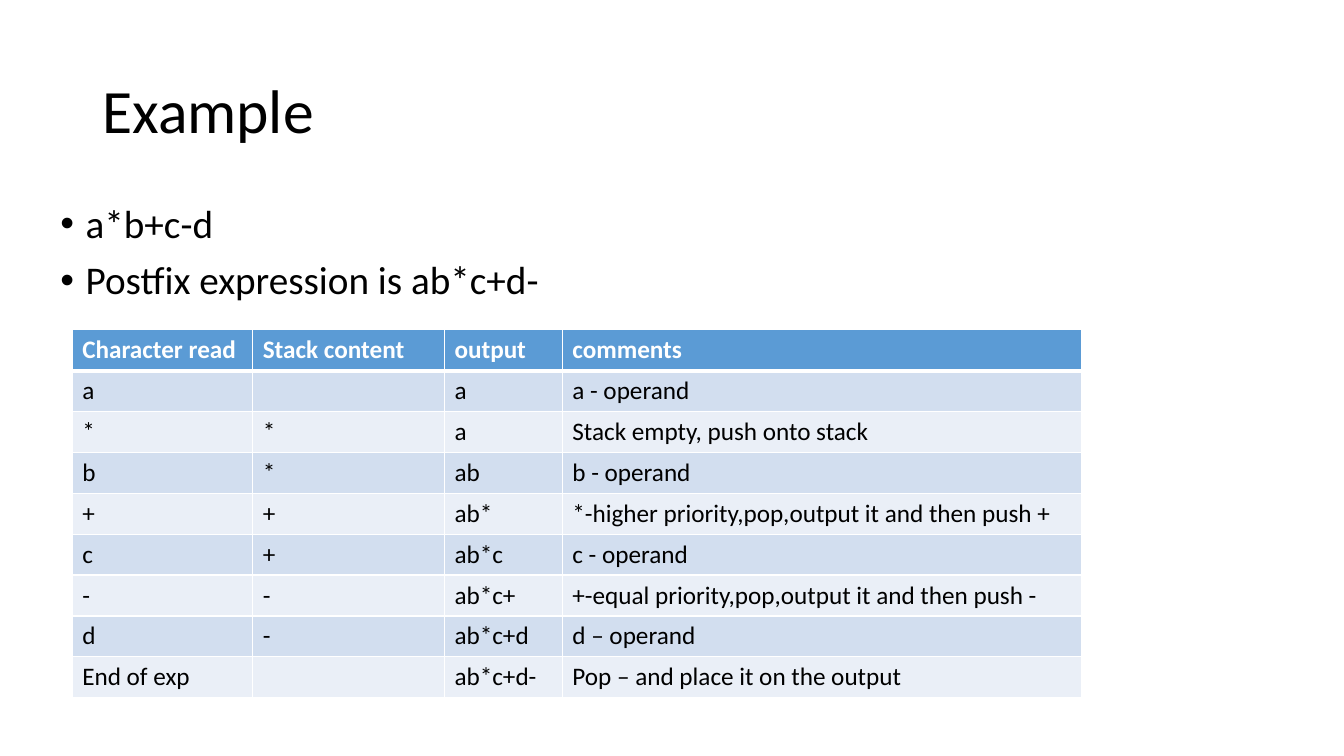
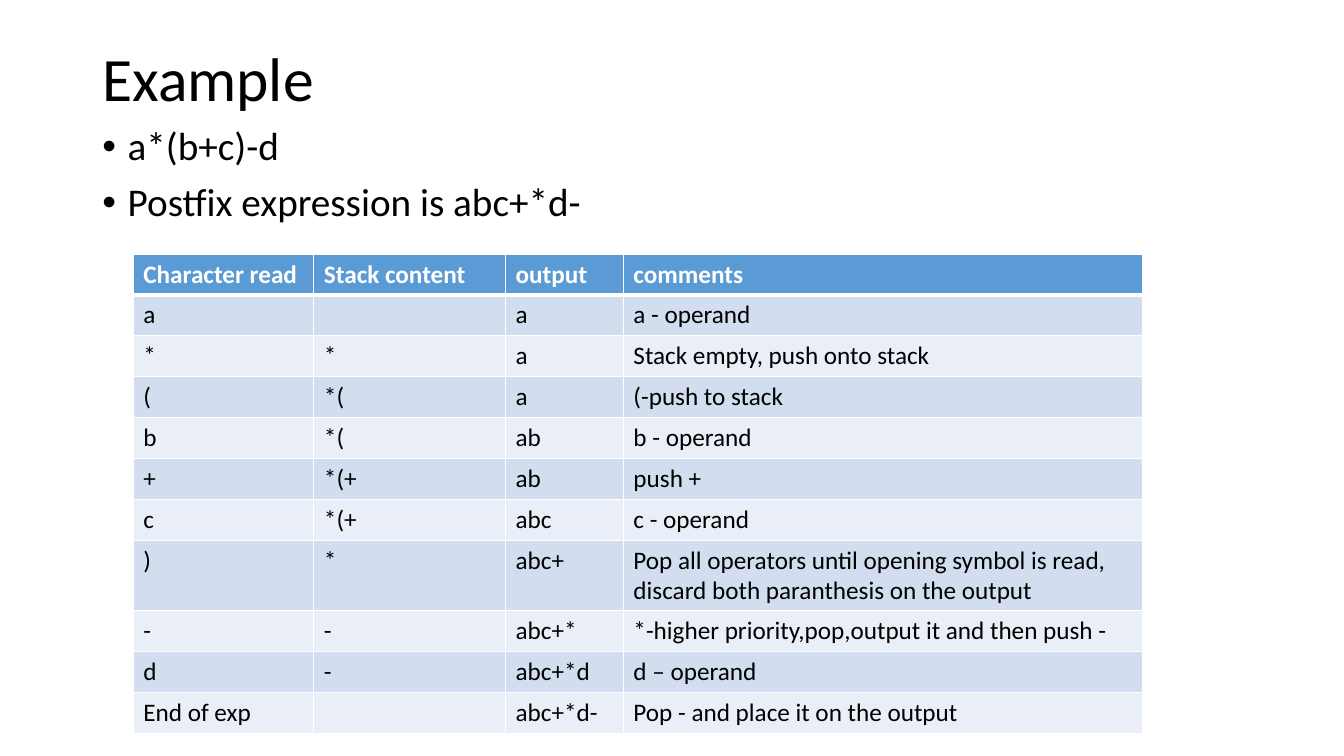
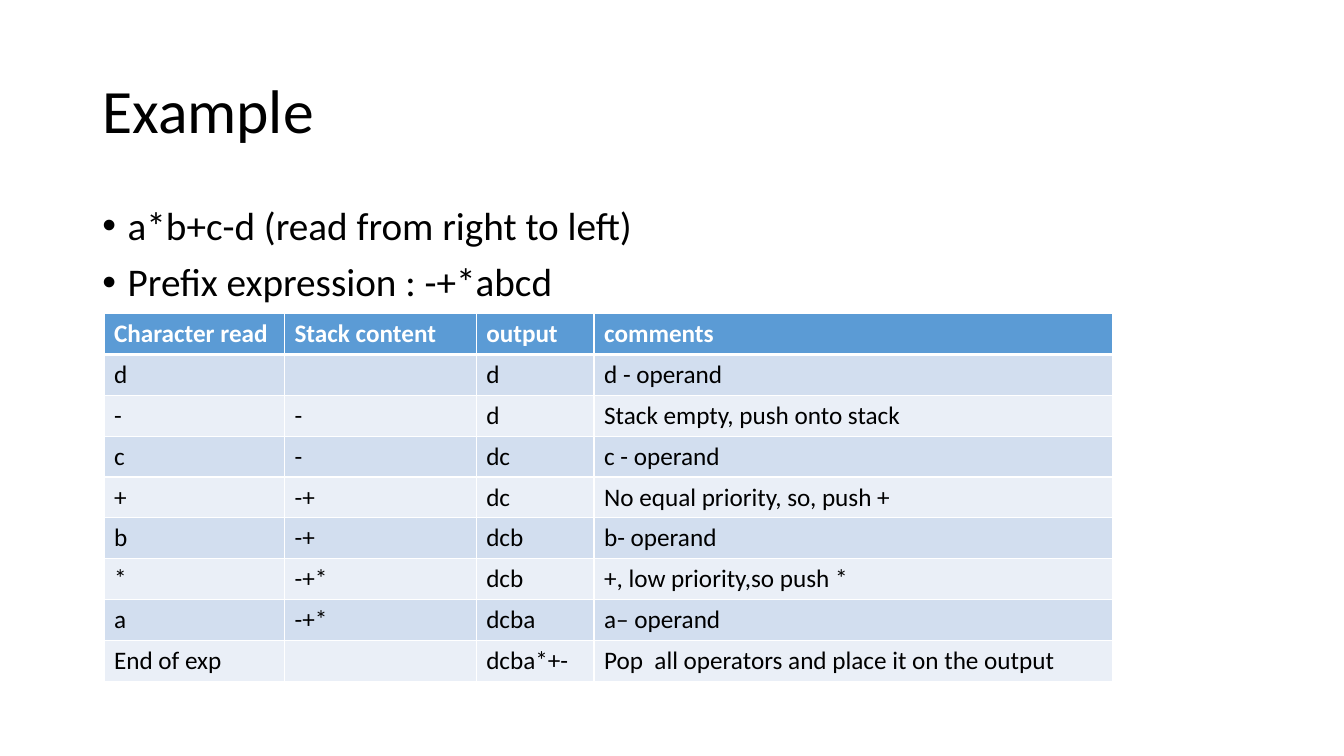
from lxml import etree
from pptx import Presentation, util as u
from pptx.dml.color import RGBColor
from pptx.enum import text
from pptx.oxml import ns

BLACK = RGBColor(0x00, 0x00, 0x00)
WHITE = RGBColor(0xFF, 0xFF, 0xFF)
HEADER_BLUE = RGBColor(0x5B, 0x9B, 0xD5)
BAND_DARK = RGBColor(0xD2, 0xDE, 0xEF)
BAND_LIGHT = RGBColor(0xEA, 0xEF, 0xF7)

# Shared formats
TITLE_FONT = {"name": "Calibri", "size": u.Pt(44)}
BULLET_FONT = {"name": "Calibri", "size": u.Pt(28)}
CELL_FONT = {"name": "Calibri", "size": u.Pt(18), "bold": False}
HEADER_FONT = {**CELL_FONT, "bold": True}

# Shared measures in centimetres
TEXT_LEFT, TEXT_WIDTH, TITLE_TOP = 2.33, 29.21, 1.02
COLUMN_WIDTHS = [4.55, 4.83, 2.97, 13.08]
ROW_HEIGHT = 1.03
HEADINGS = ("Character read", "Stack content", "output", "comments")

EXAMPLES = [
    {
        "title_height": 3.68,
        "body": (1.27, 5.03, 12.09),
        "table": (1.82, 8.31),
        "bullets": ["a*b+c-d", "Postfix expression is ab*c+d-"],
        "steps": [
            ("a", "", "a", "a - operand"),
            ("*", "*", "a", "Stack empty, push onto stack"),
            ("b", "*", "ab", "b - operand"),
            ("+", "+", "ab*", "*-higher priority,pop,output it and then push +"),
            ("c", "+", "ab*c", "c - operand"),
            ("-", "-", "ab*c+", "+-equal priority,pop,output it and then push -"),
            ("d", "-", "ab*c+d", "d – operand"),
            ("End of exp", "", "ab*c+d-", "Pop – and place it on the output"),
        ],
    },
    {
        "title_height": 2.06,
        "body": (TEXT_LEFT, 3.07, 14.07),
        "table": (3.36, 6.4),
        "bullets": ["a*(b+c)-d", "Postfix expression is abc+*d-"],
        "steps": [
            ("a", "", "a", "a - operand"),
            ("*", "*", "a", "Stack empty, push onto stack"),
            ("(", "*(", "a", "(-push to stack"),
            ("b", "*(", "ab", "b - operand"),
            ("+", "*(+", "ab", "push +"),
            ("c", "*(+", "abc", "c - operand"),
            (")", "*", "abc+", "Pop all operators until opening symbol is read, "
             "discard both paranthesis on the output"),
            ("-", "-", "abc+*", "*-higher priority,pop,output it and then push -"),
            ("d", "-", "abc+*d", "d – operand"),
            ("End of exp", "", "abc+*d-", "Pop - and place it on the output"),
        ],
    },
    {
        "title_height": 3.68,
        "body": (TEXT_LEFT, 5.08, 12.09),
        "table": (2.62, 7.9),
        "bullets": ["a*b+c-d (read from right to left)", "Prefix expression : -+*abcd"],
        "steps": [
            ("d", "", "d", "d - operand"),
            ("-", "-", "d", "Stack empty, push onto stack"),
            ("c", "-", "dc", "c - operand"),
            ("+", "-+", "dc", "No equal priority, so, push +"),
            ("b", "-+", "dcb", "b- operand"),
            ("*", "-+*", "dcb", "+, low priority,so push *"),
            ("a", "-+*", "dcba", "a– operand"),
            ("End of exp", "", "dcba*+-", "Pop  all operators and place it on the output"),
        ],
    },
]


def write(paragraph, words, font, color):
    paragraph.text = words
    for key, value in font.items():
        setattr(paragraph.font, key, value)
    paragraph.font.color.rgb = color


def add_borders(cell, widths):
    """Give a cell white edges; widths maps each edge to points."""
    properties = cell._tc.get_or_add_tcPr()
    for edge, width in widths.items():
        line = etree.SubElement(properties, ns.qn(f"a:ln{edge}"), w=str(u.Pt(width)))
        fill = etree.SubElement(line, ns.qn("a:solidFill"))
        etree.SubElement(fill, ns.qn("a:srgbClr"), val=str(WHITE))


deck = Presentation()
deck.slide_width, deck.slide_height = u.Cm(33.87), u.Cm(19.05)

for example in EXAMPLES:
    slide = deck.slides.add_slide(deck.slide_layouts[6])

    # Title
    title = slide.shapes.add_textbox(u.Cm(TEXT_LEFT), u.Cm(TITLE_TOP), u.Cm(TEXT_WIDTH),
                                     u.Cm(example["title_height"])).text_frame
    title.word_wrap = True
    title.vertical_anchor = text.MSO_ANCHOR.MIDDLE
    title.paragraphs[0].line_spacing = 0.9
    write(title.paragraphs[0], "Example", TITLE_FONT, BLACK)

    # Expression and its result
    left, top, height = example["body"]
    body = slide.shapes.add_textbox(u.Cm(left), u.Cm(top), u.Cm(TEXT_WIDTH),
                                    u.Cm(height)).text_frame
    body.word_wrap = True
    for number, words in enumerate(example["bullets"]):
        bullet = body.add_paragraph() if number else body.paragraphs[0]
        indents = bullet._p.get_or_add_pPr()
        indents.set("marL", str(u.Cm(0.64)))
        indents.set("indent", str(u.Cm(-0.64)))
        etree.SubElement(indents, ns.qn("a:buFont"), typeface="Arial")
        etree.SubElement(indents, ns.qn("a:buChar"), char="•")
        bullet.line_spacing = 0.9
        if number:
            bullet.space_before = u.Pt(10)
        write(bullet, words, BULLET_FONT, BLACK)

    # Trace of the conversion
    rows = [HEADINGS, *example["steps"]]
    left, top = example["table"]
    trace = slide.shapes.add_table(len(rows), len(HEADINGS), u.Cm(left), u.Cm(top),
                                   u.Cm(sum(COLUMN_WIDTHS)),
                                   u.Cm(ROW_HEIGHT * len(rows))).table
    for column, width in zip(trace.columns, COLUMN_WIDTHS):
        column.width = u.Cm(width)
    for r, row in enumerate(rows):
        trace.rows[r].height = u.Cm(ROW_HEIGHT)
        band = HEADER_BLUE if r == 0 else BAND_DARK if r % 2 else BAND_LIGHT
        edges = {"L": 1, "R": 1, "T": 3 if r == 1 else 1, "B": 3 if r == 0 else 1}
        for c, words in enumerate(row):
            cell = trace.cell(r, c)
            add_borders(cell, edges)
            cell.fill.solid()
            cell.fill.fore_color.rgb = band
            write(cell.text_frame.paragraphs[0], words,
                  CELL_FONT if r else HEADER_FONT, BLACK if r else WHITE)

deck.save("out.pptx")
